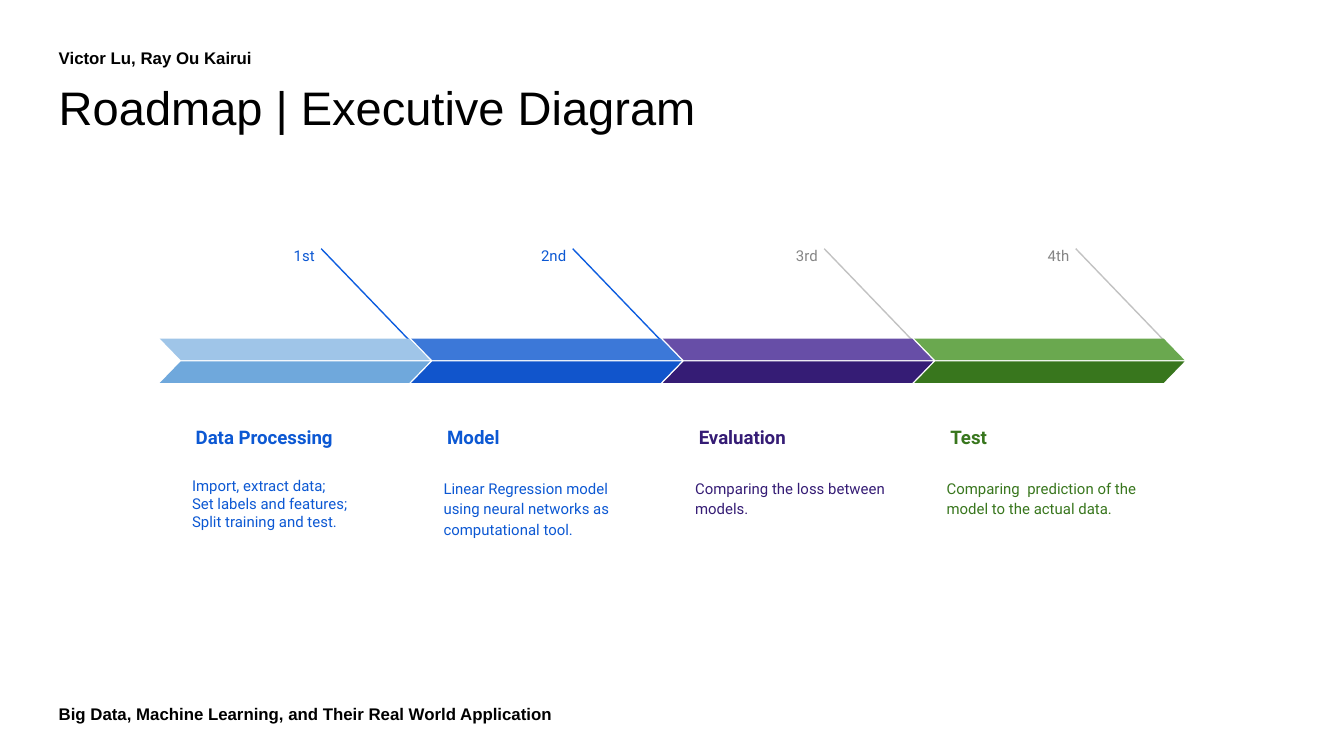
import pptx
import pptx.dml.color
import pptx.enum.shapes
import pptx.enum.text
import pptx.oxml
import pptx.oxml.ns
import pptx.util

Cm = pptx.util.Cm
Pt = pptx.util.Pt
RGBColor = pptx.dml.color.RGBColor
Shape = pptx.enum.shapes.MSO_SHAPE
Anchor = pptx.enum.text.MSO_ANCHOR
Align = pptx.enum.text.PP_ALIGN

BLACK = RGBColor(0x00, 0x00, 0x00)
BLUE = RGBColor(0x0C, 0x58, 0xD3)
BLUE_LINE = RGBColor(0x0D, 0x5D, 0xDF)
GRAY = RGBColor(0x85, 0x85, 0x85)
GRAY_LINE = RGBColor(0xC2, 0xC2, 0xC2)
SKY = RGBColor(0x9F, 0xC5, 0xE8)
SKY_DARK = RGBColor(0x6F, 0xA8, 0xDC)
ROYAL = RGBColor(0x3C, 0x78, 0xD8)
ROYAL_DARK = RGBColor(0x11, 0x55, 0xCC)
PLUM = RGBColor(0x67, 0x4E, 0xA7)
PLUM_DARK = RGBColor(0x35, 0x1C, 0x75)
GREEN = RGBColor(0x6A, 0xA8, 0x4F)
GREEN_DARK = RGBColor(0x38, 0x76, 0x1D)

STAGES = [
    ("1st", "Data Processing",
     ["Import, extract data;", "Set labels and features;", "Split training and test."],
     BLUE, BLUE, BLUE_LINE, SKY, SKY_DARK),
    ("2nd", "Model",
     ["Linear Regression model using neural networks as computational tool."],
     BLUE, BLUE, BLUE_LINE, ROYAL, ROYAL_DARK),
    ("3rd", "Evaluation", ["Comparing the loss between models."],
     PLUM_DARK, GRAY, GRAY_LINE, PLUM, PLUM_DARK),
    ("4th", "Test", ["Comparing  prediction of the model to the actual data."],
     GREEN_DARK, GRAY, GRAY_LINE, GREEN, GREEN_DARK),
]


def fill_text(shape, lines, font, size, color, bold=False, align=Align.LEFT,
              anchor=Anchor.TOP, space=1.0, after=0):
    frame = shape.text_frame
    frame.word_wrap = True
    frame.auto_size = pptx.enum.text.MSO_AUTO_SIZE.NONE
    frame.vertical_anchor = anchor
    frame.margin_left = frame.margin_right = Cm(0.25)
    frame.margin_top = frame.margin_bottom = Cm(0.25)
    para = frame.paragraphs[0]
    para.alignment = align
    para.line_spacing = space
    para.space_after = Pt(after)
    for i, line in enumerate(lines):
        if i:
            para.add_line_break()
        run = para.add_run()
        run.text = line
        run.font.name = font
        run.font.size = Pt(size)
        run.font.bold = bold
        run.font.color.rgb = color


def add_text(slide, box, lines, *style, **rest):
    shape = slide.shapes.add_textbox(*map(Cm, box))
    fill_text(shape, lines, *style, **rest)


def add_line(slide, ends, color):
    line = slide.shapes.add_connector(
        pptx.enum.shapes.MSO_CONNECTOR.STRAIGHT, *map(Cm, ends))
    line.line.color.rgb = color
    line.line.width = Pt(0.75)
    props = line._element.spPr
    props.append(pptx.oxml.parse_xml(
        "<a:effectLst %s/>" % pptx.oxml.ns.nsdecls("a")))


def add_bar(slide, box, color, flip):
    bar = slide.shapes.add_shape(Shape.PARALLELOGRAM, *map(Cm, box))
    bar.adjustments[0] = 0.97
    bar.shadow.inherit = False
    bar.fill.solid()
    bar.fill.fore_color.rgb = color
    bar.line.fill.background()
    if flip:
        bar._element.spPr.xfrm.set("flipH", "1")


def add_stage(slide, box, stage):
    left, top, width, height = box
    mark, head, lines, tint, mark_tint, line_tint, light, dark = stage
    add_text(slide, (left + 1.45, top, 1.73, 0.66), [mark], "Roboto", 8,
             mark_tint, align=Align.RIGHT, space=1.15, after=16)
    add_text(slide, (left + 0.43, top + 3.12, 4.19, 1.24), [head], "Roboto", 10,
             tint, bold=True, anchor=Anchor.BOTTOM, space=1.15)
    plain = len(lines) > 1
    add_text(slide, (left + 0.36, top + 4.39, 4.29, height - 4.39), lines,
             "Roboto", 8, tint, space=1.0 if plain else 1.15,
             after=0 if plain else 16)
    add_line(slide, (left + 3.05, top + 0.33, left + 5.04, top + 2.4), line_tint)
    add_bar(slide, (left, top + 2.03, width, 0.41), light, True)
    add_bar(slide, (left, top + 2.46, width, 0.41), dark, False)


def add_road(slide, box):
    left, top, width, height = box
    stage_width = 5.11
    step = (width - stage_width) / (len(STAGES) - 1)
    for i, stage in enumerate(STAGES):
        add_stage(slide, (left + i * step, top, stage_width, height), stage)


def add_header(slide, box):
    left, top, width, height = box
    title = slide.shapes.title
    title.left, title.top = Cm(left), Cm(top + 0.58)
    title.width, title.height = Cm(width), Cm(height - 0.58)
    fill_text(title, ["Roadmap | Executive Diagram"], "Arial", 25.2, BLACK)
    add_text(slide, (left, top, 23.09, 0.89), ["Victor Lu, Ray Ou Kairui"],
             "Arial", 9, BLACK, bold=True)


def add_footer(slide, box):
    add_text(slide, box,
             ["Big Data, Machine Learning, and Their Real World Application"],
             "Arial", 9, BLACK, bold=True)


def main():
    deck = pptx.Presentation()
    deck.slide_width = Cm(25.4)
    deck.slide_height = Cm(14.29)
    slide = deck.slides.add_slide(deck.slide_layouts[5])
    add_footer(slide, (0.86, 13.06, 11.79, 0.89))
    add_header(slide, (0.86, 0.66, 23.67, 2.18))
    add_road(slide, (3.02, 4.37, 19.37, 6.45))
    deck.save("out.pptx")


if __name__ == "__main__":
    main()
